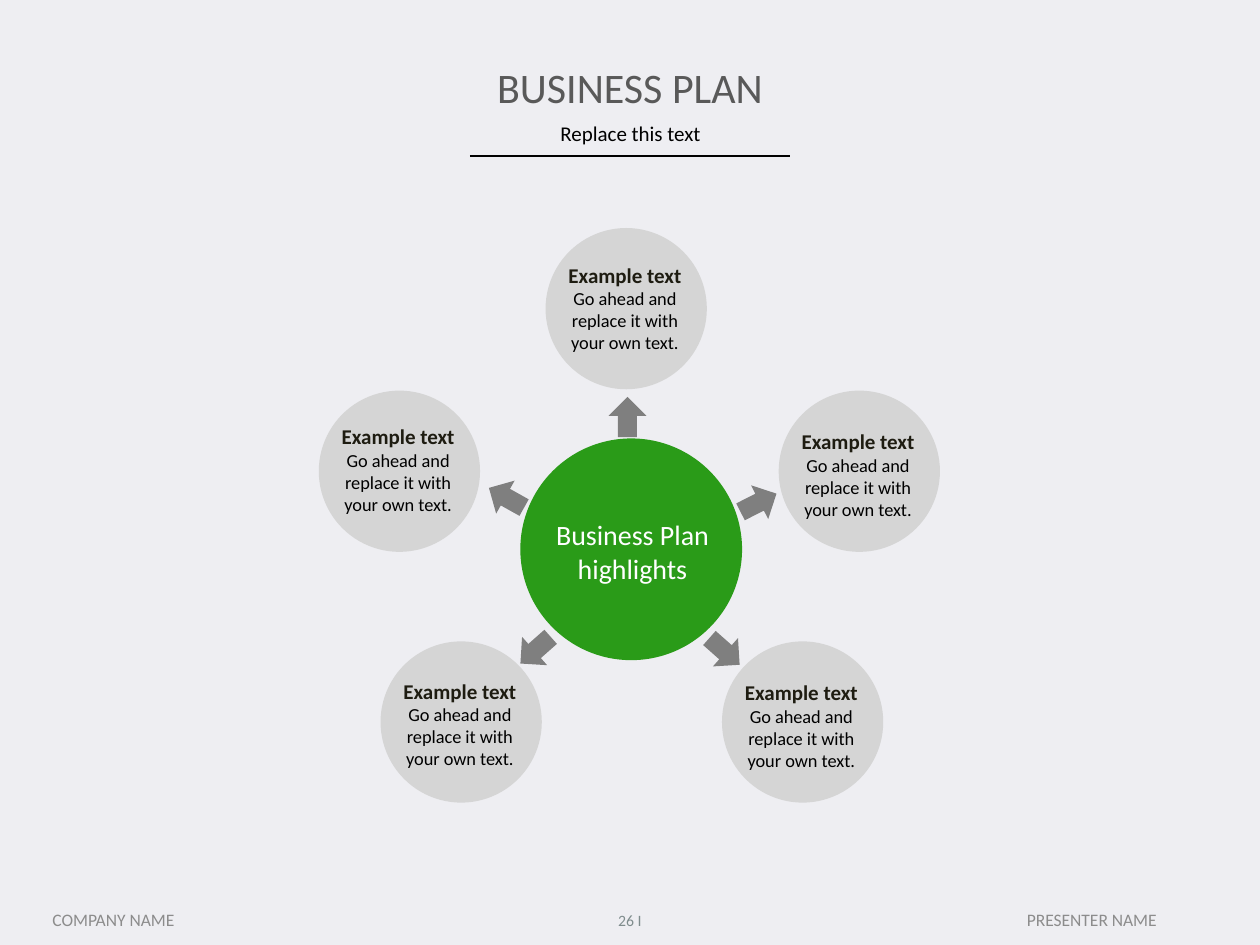
"""Build a business plan slide: a green hub with five arrows to five circles."""
from pptx import Presentation
from pptx import util as u
from pptx.dml.color import RGBColor
from pptx.enum import shapes, text
from lxml import etree

PX = 9144
PAPER = RGBColor(0xEE, 0xEE, 0xF2)
BLACK = RGBColor(0, 0, 0)
WHITE = RGBColor(255, 255, 255)
GREEN = RGBColor(0x2A, 0x9B, 0x18)
SILVER = RGBColor(0xD5, 0xD5, 0xD5)
GREY = RGBColor(0x7F, 0x7F, 0x7F)
DARK = RGBColor(0x59, 0x59, 0x59)
INK = RGBColor(0x1E, 0x1C, 0x11)
FOOT = RGBColor(0x8C, 0x8C, 0x8C)
SLATE = RGBColor(0x7F, 0x8C, 0x8D)
MID, TOP = text.MSO_ANCHOR.MIDDLE, text.MSO_ANCHOR.TOP
KIND = shapes.MSO_SHAPE


def write(box, anchor, *lines):
    frame = box.text_frame
    frame.word_wrap = True
    frame.auto_size = text.MSO_AUTO_SIZE.NONE
    frame.vertical_anchor = anchor
    frame.text = "\n".join(line[0] for line in lines)
    for para, (_, size, color, bold) in zip(frame.paragraphs, lines):
        para.alignment = text.PP_ALIGN.CENTER
        for run in para.runs:
            font = run.font
            font.name, font.size, font.bold = "Calibri", u.Pt(size), bold
            font.color.rgb = color


def draw(kind, left, top, wide, high, color):
    item = slide.shapes.add_shape(kind, left * PX, top * PX, wide * PX, high * PX)
    item.shadow.inherit = False
    item.fill.solid()
    item.fill.fore_color.rgb = color
    item.line.fill.background()
    return item


deck = Presentation()
deck.slide_width, deck.slide_height = 1000 * PX, 750 * PX
slide = deck.slides.add_slide(deck.slide_layouts[5])
slide.background.fill.solid()
slide.background.fill.fore_color.rgb = PAPER

rule = slide.shapes.add_connector(
    shapes.MSO_CONNECTOR.STRAIGHT, 373 * PX, 124 * PX, 627 * PX, 124 * PX)
rule.line.color.rgb = BLACK
rule.line.width = u.Pt(1)
space = "{http://schemas.openxmlformats.org/drawingml/2006/main}"
etree.SubElement(rule.element.spPr, space + "effectLst")

title = slide.shapes.title
title.left, title.top, title.width, title.height = 69 * PX, 44 * PX, 862 * PX, 50 * PX
write(title, MID, ("BUSINESS PLAN", 24, DARK, False))

sub = slide.shapes.add_textbox(69 * PX, 95 * PX, 863 * PX, 27 * PX)
write(sub, TOP, ("Replace this text", 12, BLACK, False))
sub.text_frame.paragraphs[0].line_spacing = 0.8

for words, left, top, wide, high, size, color in (
    ("COMPANY NAME", 17, 709, 146, 42, 10, FOOT),
    ("26 I", 475, 710, 50, 40, 9, SLATE),
    ("PRESENTER NAME", 750, 709, 233, 42, 10, FOOT),
):
    foot = slide.shapes.add_textbox(left * PX, top * PX, wide * PX, high * PX)
    write(foot, MID, (words, size, color, False))

draw(KIND.OVAL, 413, 348, 176, 176, GREEN)
hub = slide.shapes.add_textbox(414 * PX, 406 * PX, 176 * PX, 64 * PX)
write(hub, TOP, ("Business Plan", 16, WHITE, False), ("highlights", 16, WHITE, False))

for left, top, drop, tip, peak, turn in (
    (433, 181, 22, 482, 316, 270),
    (618, 310, 25, 586, 384, 333.1),
    (573, 509, 25, 559, 502, 41.5),
    (302, 509, 24, 409, 501, 138.5),
    (253, 310, 21, 386, 380, 209.2),
):
    draw(KIND.OVAL, left, top, 128, 128, SILVER)
    arrow = draw(KIND.RIGHT_ARROW, tip, peak, 32, 30, GREY)
    arrow.rotation = turn
    note = slide.shapes.add_textbox(
        (left + 2) * PX, (top + drop) * PX, 122 * PX, 83 * PX)
    write(note, MID, ("Example text", 12, INK, True),
          ("Go ahead and replace it with your own text.", 10.5, BLACK, False))

deck.save("out.pptx")
